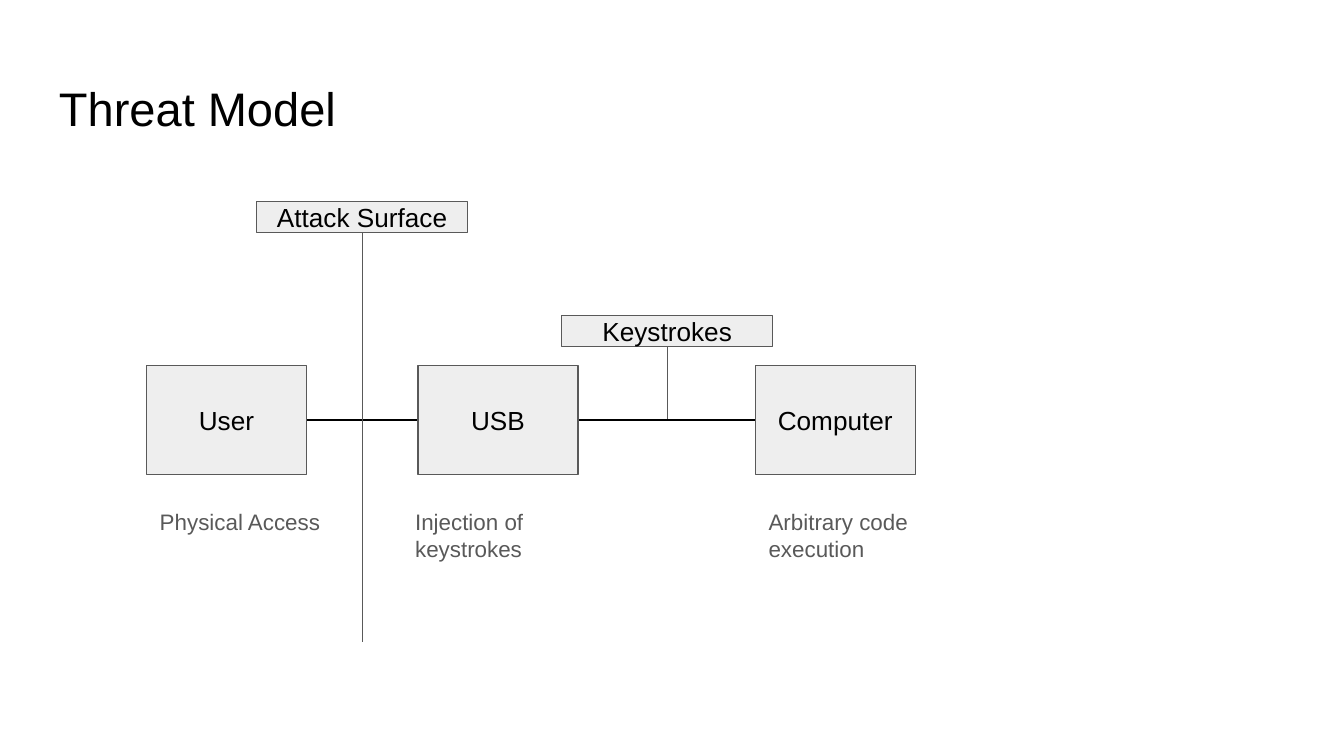
from pptx import Presentation
from pptx.dml.color import RGBColor
from pptx.enum import shapes, text
from pptx.oxml.ns import qn
from pptx.util import Inches, Pt

BLACK, GREY, PALE = "000000", "595959", "EEEEEE"
FONT = "Arial"

TITLE = "Threat Model"
# name, box left, caption, caption left
STAGES = [
    ("User", 1.09, "Physical Access", 1.09),
    ("USB", 3.11, "Injection of keystrokes", 2.99),
    ("Computer", 5.62, "Arbitrary code execution", 5.62),
]
# name, left, top, bottom end of the line below the label
LABELS = [
    ("Attack Surface", 1.91, 1.5, 4.78),
    ("Keystrokes", 4.18, 2.35, 3.12),
]
STAGE_TOP, STAGE_WIDTH, STAGE_HEIGHT = 2.72, 1.19, 0.81
LABEL_WIDTH, LABEL_HEIGHT = 1.57, 0.23
CAPTION_TOP, CAPTION_WIDTH, CAPTION_HEIGHT = 3.68, 1.42, 0.73


def color(value):
    return RGBColor.from_string(value)


def write(shape, content, size, ink, align, anchor):
    frame = shape.text_frame
    frame.word_wrap = True
    frame.vertical_anchor = anchor
    frame.margin_left = frame.margin_right = Inches(0.1)
    frame.margin_top = frame.margin_bottom = Inches(0.1)
    paragraph = frame.paragraphs[0]
    paragraph.alignment = align
    run = paragraph.add_run()
    run.text = content
    run.font.name = FONT
    run.font.size = Pt(size)
    run.font.color.rgb = color(ink)


def add_text(slide, content, left, top, width, height, size, ink):
    shape = slide.shapes.add_textbox(*map(Inches, (left, top, width, height)))
    write(shape, content, size, ink, text.PP_ALIGN.LEFT, text.MSO_ANCHOR.TOP)


def add_box(slide, content, left, top, width, height):
    shape = slide.shapes.add_shape(
        shapes.MSO_SHAPE.RECTANGLE, *map(Inches, (left, top, width, height)))
    shape.shadow.inherit = False
    shape.fill.solid()
    shape.fill.fore_color.rgb = color(PALE)
    shape.line.color.rgb = color(GREY)
    shape.line.width = Pt(0.75)
    write(shape, content, 14, BLACK, text.PP_ALIGN.CENTER, text.MSO_ANCHOR.MIDDLE)


def add_line(slide, x1, y1, x2, y2, ink):
    line = slide.shapes.add_connector(
        shapes.MSO_CONNECTOR.STRAIGHT, *map(Inches, (x1, y1, x2, y2)))
    line.line.color.rgb = color(ink)
    line.line.width = Pt(0.75)
    properties = line._element.spPr
    properties.append(properties.makeelement(qn("a:effectLst"), {}))


def main():
    presentation = Presentation()
    presentation.slide_width = Inches(10)
    presentation.slide_height = Inches(10 * 9 / 16)
    slide = presentation.slides.add_slide(presentation.slide_layouts[6])

    add_text(slide, TITLE, 0.34, 0.49, 9.32, 0.63, 25.2, BLACK)

    middle = STAGE_TOP + STAGE_HEIGHT / 2
    for (_, left, *_), (_, next_left, *_) in zip(STAGES, STAGES[1:]):
        add_line(slide, left + STAGE_WIDTH, middle, next_left, middle, BLACK)

    for name, left, top, line_end in LABELS:
        center = left + LABEL_WIDTH / 2
        add_line(slide, center, top + LABEL_HEIGHT, center, line_end, GREY)
        add_box(slide, name, left, top, LABEL_WIDTH, LABEL_HEIGHT)

    for name, left, caption, caption_left in STAGES:
        add_box(slide, name, left, STAGE_TOP, STAGE_WIDTH, STAGE_HEIGHT)
        add_text(slide, caption, caption_left, CAPTION_TOP,
                 CAPTION_WIDTH, CAPTION_HEIGHT, 12, GREY)

    presentation.save("out.pptx")


if __name__ == "__main__":
    main()
